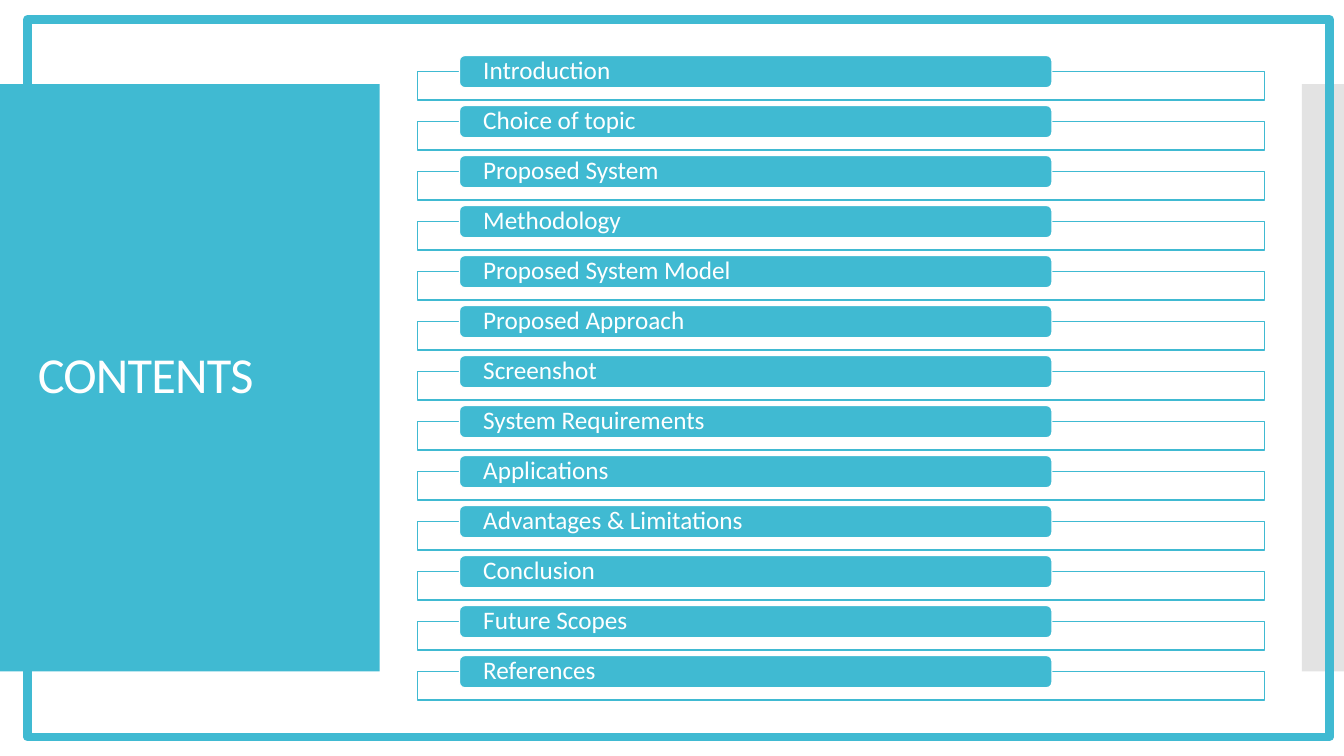
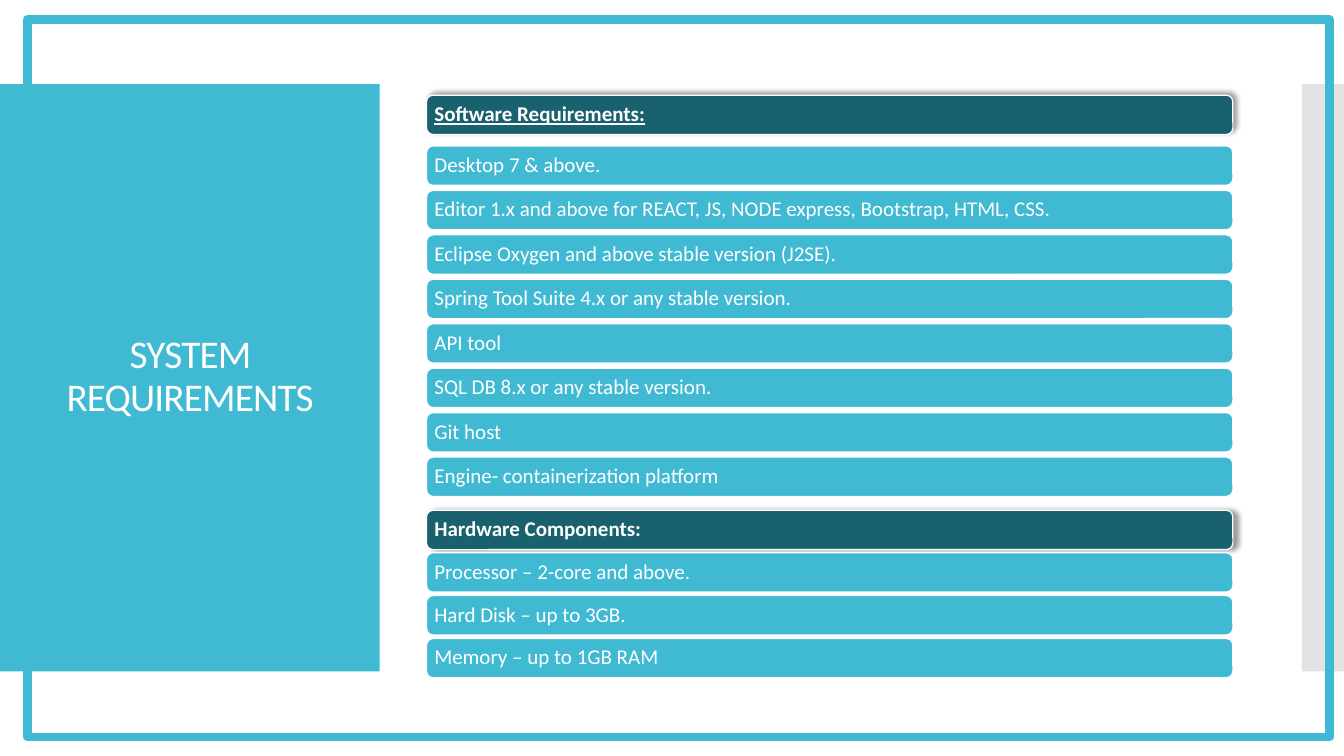
import pptx
import pptx.util
import pptx.oxml
import pptx.oxml.ns
import pptx.dml.color
import pptx.enum.shapes
import pptx.enum.text

Cm, Pt = pptx.util.Cm, pptx.util.Pt
qn = pptx.oxml.ns.qn
KIND = pptx.enum.shapes.MSO_SHAPE
ALIGN = pptx.enum.text.PP_ALIGN
MIDDLE = pptx.enum.text.MSO_ANCHOR.MIDDLE

# Content
TOPICS = [
    "Introduction", "Choice of topic", "Proposed System", "Methodology",
    "Proposed System Model", "Proposed Approach", "Screenshot",
    "System Requirements", "Applications", "Advantages & Limitations",
    "Conclusion", "Future Scopes", "References",
]
NEEDS = [
    {"head": "Software Requirements:", "line": True, "angle": 315,
     "top": 2.4, "first": 3.68, "step": 1.12,
     "items": [
         "Desktop 7 & above.",
         "Editor 1.x and above for REACT, JS, NODE express, Bootstrap, HTML, CSS.",
         "Eclipse Oxygen and above stable version (J2SE).",
         "Spring Tool Suite 4.x or any stable version.",
         "API tool",
         "SQL DB 8.x or any stable version.",
         "Git host",
         "Engine- containerization platform",
     ]},
    {"head": "Hardware Components:", "line": False, "angle": 0,
     "top": 12.86, "first": 13.93, "step": 1.08,
     "items": [
         "Processor – 2-core and above.",
         "Hard Disk – up to 3GB.",
         "Memory – up to 1GB RAM",
     ]},
]

# Style, lengths in centimetres
FONT = "Calibri"
HUES = {"main": "40BAD2", "dark": "1A616F", "grey": "C8C8C8", "white": "FFFFFF"}
WIDE, HIGH = 33.87, 19.05
BAND_TOP, BAND_HIGH = 2.12, 14.8
TITLE = (0.7, 3.12, 8.18, 12.78)


def hue(name):
    return pptx.dml.color.RGBColor.from_string(HUES[name])


def add_box(slide, kind, place, fill=None, line=None, width=0.85):
    box = slide.shapes.add_shape(kind, *map(Cm, place))
    box.shadow.inherit = False
    if fill:
        box.fill.solid()
        box.fill.fore_color.rgb = hue(fill)
    else:
        box.fill.background()
    if line:
        box.line.color.rgb = hue(line)
        box.line.width = Pt(width)
    else:
        box.line.fill.background()
    return box


def style(para, size, bold=False, under=False):
    para.line_spacing = 0.9
    for run in para.runs:
        font = run.font
        font.name, font.size = FONT, Pt(size)
        font.bold, font.underline = bold, under
        font.color.rgb = hue("white")


def add_bar(slide, place, text, size, side, edge, fill="main", **look):
    bar = add_box(slide, KIND.ROUNDED_RECTANGLE, place, fill, "white")
    frame = bar.text_frame
    frame.word_wrap = True
    frame.vertical_anchor = MIDDLE
    frame.margin_left = frame.margin_right = Cm(side)
    frame.margin_top = frame.margin_bottom = Cm(edge)
    frame.text = text
    para = frame.paragraphs[0]
    para.alignment = ALIGN.LEFT
    style(para, size, **look)
    return bar


def add_shade(box, angle):
    glow = box.element.spPr.find(qn("a:effectLst"))
    space = pptx.oxml.ns.nsdecls("a")
    glow.append(pptx.oxml.parse_xml(
        f'<a:outerShdw {space} blurRad="{Pt(4)}" dist="{Pt(3)}" '
        f'dir="{angle * 60000}" algn="ctr" rotWithShape="0">'
        '<a:srgbClr val="000000"><a:alpha val="40000"/></a:srgbClr>'
        '</a:outerShdw>'))


def set_layout(layout, slide):
    """Give the layout its bands, border and title place."""
    panel = add_box(slide, KIND.RECTANGLE, (0, BAND_TOP, 9.57, BAND_HIGH), "main")
    strip = add_box(slide, KIND.RECTANGLE,
                    (WIDE - 1.06, BAND_TOP, 1.06, BAND_HIGH), "grey")
    tint = strip.element.spPr.find(qn("a:solidFill"))[0]
    tint.append(tint.makeelement(qn("a:alpha"), {"val": "50000"}))
    border = add_box(slide, KIND.RECTANGLE, (0.69, 0.49, 32.82, 18.08),
                     line="main", width=6)
    for spot, part in enumerate((panel, strip, border), 2):
        layout.shapes.element.insert(spot, part.element)
    title = layout.placeholders[0]
    title.left, title.top, title.width, title.height = map(Cm, TITLE)


def set_title(slide, text, size, align):
    frame = slide.shapes.title.text_frame
    frame.text = text
    frame.word_wrap = True
    frame.vertical_anchor = MIDDLE
    para = frame.paragraphs[0]
    para.alignment = align
    style(para, size)
    for prop in slide.shapes.title.element.iter(qn("a:rPr")):
        prop.set("spc", "-60")


def fill_topics(slide):
    set_title(slide, "CONTENTS", 36, ALIGN.LEFT)
    for row, topic in enumerate(TOPICS):
        top = 1.4 + row * 1.26
        add_box(slide, KIND.RECTANGLE, (10.52, top + 0.41, 21.34, 0.71),
                "white", "main")
        add_bar(slide, (11.58, top, 14.93, 0.81), topic, 18, 0.56, 0)


def fill_needs(slide):
    set_title(slide, "SYSTEM REQUIREMENTS", 28, ALIGN.CENTER)
    left, wide, high = 10.75, 20.32, 0.99
    for need in NEEDS:
        head = add_bar(slide, (left, need["top"], wide, high), need["head"],
                       15, 0.15, 0.15, "dark", bold=True, under=need["line"])
        add_shade(head, need["angle"])
        for row, item in enumerate(need["items"]):
            top = need["first"] + row * need["step"]
            add_bar(slide, (left, top, wide, high), item, 15, 0.15, 0.15)


def main():
    deck = pptx.Presentation()
    deck.slide_width, deck.slide_height = Cm(WIDE), Cm(HIGH)
    layout = deck.slide_layouts[5]
    topics, needs = (deck.slides.add_slide(layout) for _ in range(2))
    set_layout(layout, topics)
    fill_topics(topics)
    fill_needs(needs)
    deck.save("out.pptx")


if __name__ == "__main__":
    main()
